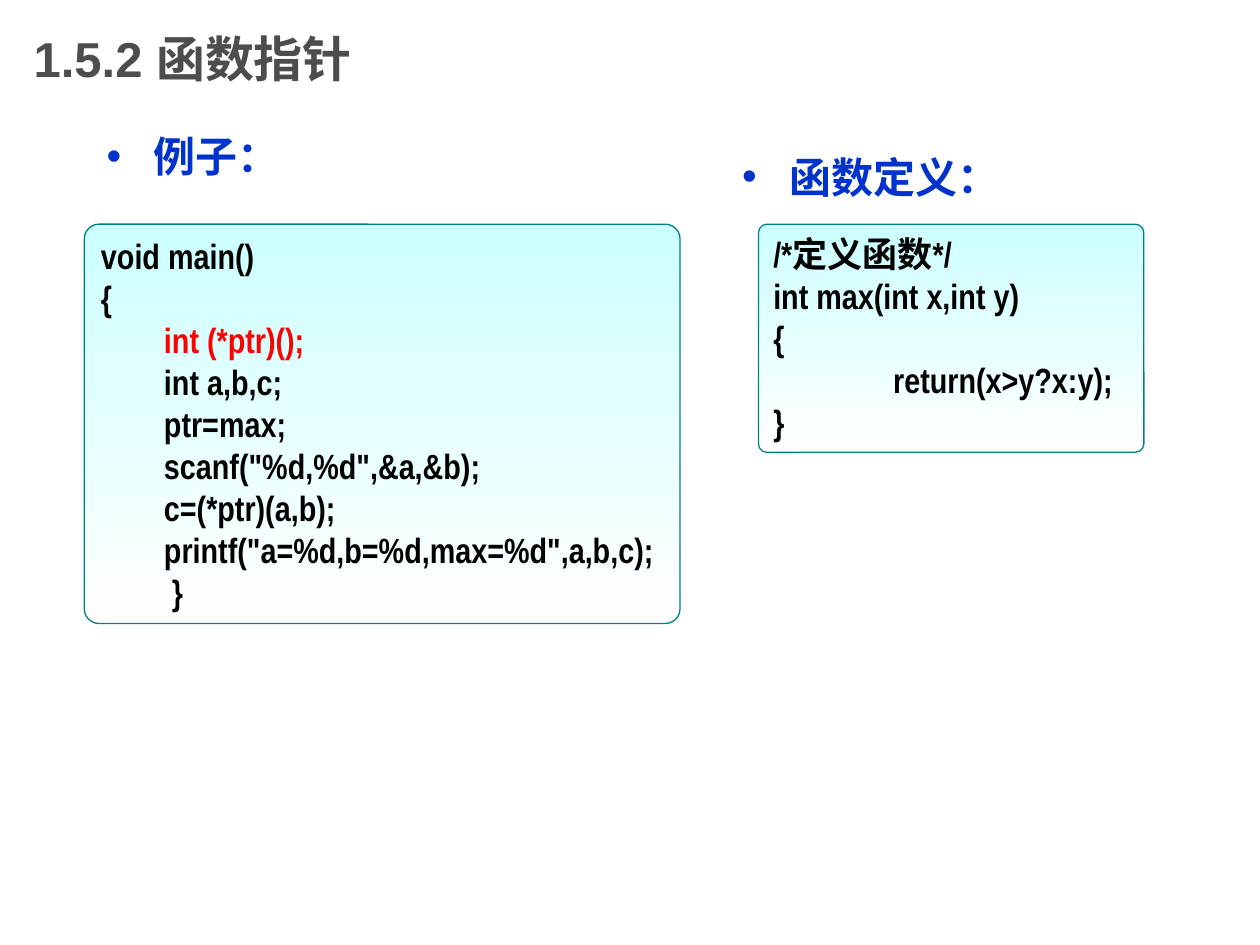
from dataclasses import dataclass

import pptx
import pptx.dml.color
import pptx.enum.shapes
import pptx.enum.text
import pptx.oxml
import pptx.oxml.ns
import pptx.util
from pptx.util import Cm

COLORS = {
    "title": "4D4D4D",
    "heading": "0033CC",
    "code": "000000",
    "highlight": "FF0000",
    "box_top": "CCFFFF",
    "box_bottom": "FFFFFF",
    "box_line": "008080",
}
HEADING_INDENT = Cm(0.95)
CODE_INDENT = Cm(1.27)
CODE_BOX_TOP = 4.52
CORNER = 0.037


@dataclass
class Area:
    """Position and size in centimetres."""
    left: float
    top: float
    width: float
    height: float

    def lengths(self) -> tuple:
        return Cm(self.left), Cm(self.top), Cm(self.width), Cm(self.height)


@dataclass
class CodeLine:
    text: str
    level: int = 0
    color: str = "code"


@dataclass
class Heading:
    text: str
    area: Area


@dataclass
class CodeBox:
    area: Area
    lines: list[CodeLine]


HEADINGS = [
    Heading("例子：", Area(1.9, 2.51, 21.59, 1.4)),
    Heading("函数定义：", Area(14.71, 2.92, 8.71, 7.39)),
]
CODE_BOXES = [
    CodeBox(Area(1.7, CODE_BOX_TOP, 12.01, 8.05), [
        CodeLine("void main()"),
        CodeLine("{"),
        CodeLine("int (*ptr)();", 1, "highlight"),
        CodeLine("int a,b,c;", 1),
        CodeLine("ptr=max;", 1),
        CodeLine('scanf("%d,%d",&a,&b);', 1),
        CodeLine("c=(*ptr)(a,b);", 1),
        CodeLine('printf("a=%d,b=%d,max=%d",a,b,c);', 1),
        CodeLine(" }", 1),
    ]),
    CodeBox(Area(15.29, CODE_BOX_TOP, 7.77, 4.6), [
        CodeLine("/*定义函数*/"),
        CodeLine("int max(int x,int y)"),
        CodeLine("{"),
        CodeLine("               return(x>y?x:y);"),
        CodeLine("}"),
    ]),
]


def rgb(name: str) -> pptx.dml.color.RGBColor:
    return pptx.dml.color.RGBColor.from_string(COLORS[name])


def add_run(paragraph, text: str, size: int, color: str, font_name: str = "Arial") -> None:
    run = paragraph.add_run()
    run.text = text
    run.font.name = font_name
    run.font.size = pptx.util.Pt(size)
    run.font.bold = True
    run.font.color.rgb = rgb(color)


def add_text_box(slide, area: Area):
    text_frame = slide.shapes.add_textbox(*area.lengths()).text_frame
    text_frame.word_wrap = True
    return text_frame


def add_bullet(paragraph, color: str) -> None:
    properties = paragraph._p.get_or_add_pPr()
    properties.set("marL", str(HEADING_INDENT))
    properties.set("indent", str(-HEADING_INDENT))
    namespace = pptx.oxml.ns.nsdecls("a")
    for xml in (
        f'<a:buClr {namespace}><a:srgbClr val="{COLORS[color]}"/></a:buClr>',
        f'<a:buFont {namespace} typeface="Arial"/>',
        f'<a:buChar {namespace} char="•"/>',
    ):
        properties.append(pptx.oxml.parse_xml(xml))


def add_title(slide, text: str) -> None:
    text_frame = add_text_box(slide, Area(0.43, 0, 19.05, 2.34))
    text_frame.vertical_anchor = pptx.enum.text.MSO_ANCHOR.MIDDLE
    add_run(text_frame.paragraphs[0], text, 28, "title")


def add_heading(slide, heading: Heading) -> None:
    paragraph = add_text_box(slide, heading.area).paragraphs[0]
    paragraph.alignment = pptx.enum.text.PP_ALIGN.JUSTIFY
    add_bullet(paragraph, "heading")
    add_run(paragraph, heading.text, 24, "heading")


def add_code_box(slide, box: CodeBox) -> None:
    shape = slide.shapes.add_shape(
        pptx.enum.shapes.MSO_SHAPE.ROUNDED_RECTANGLE, *box.area.lengths())
    shape.adjustments[0] = CORNER
    shape.shadow.inherit = False
    shape.fill.gradient()
    shape.fill.gradient_angle = 270
    for stop, color in zip(shape.fill.gradient_stops, ("box_top", "box_bottom")):
        stop.color.rgb = rgb(color)
    shape.line.color.rgb = rgb("box_line")
    shape.line.width = pptx.util.Pt(0.75)

    text_frame = shape.text_frame
    text_frame.word_wrap = True
    text_frame.auto_size = pptx.enum.text.MSO_AUTO_SIZE.SHAPE_TO_FIT_TEXT
    text_frame.vertical_anchor = pptx.enum.text.MSO_ANCHOR.TOP
    for index, line in enumerate(box.lines):
        paragraph = text_frame.add_paragraph() if index else text_frame.paragraphs[0]
        paragraph.alignment = pptx.enum.text.PP_ALIGN.LEFT
        paragraph.level = line.level
        properties = paragraph._p.get_or_add_pPr()
        properties.set("marL", str(line.level * CODE_INDENT))
        properties.set("indent", "0")
        add_run(paragraph, line.text, 20, line.color, "Arial Narrow")


def main() -> None:
    presentation = pptx.Presentation()
    presentation.slide_width = Cm(25.4)
    presentation.slide_height = Cm(19.05)
    slide = presentation.slides.add_slide(presentation.slide_layouts[6])
    add_title(slide, "1.5.2 函数指针")
    for heading in HEADINGS:
        add_heading(slide, heading)
    for box in CODE_BOXES:
        add_code_box(slide, box)
    presentation.save("out.pptx")


if __name__ == "__main__":
    main()
